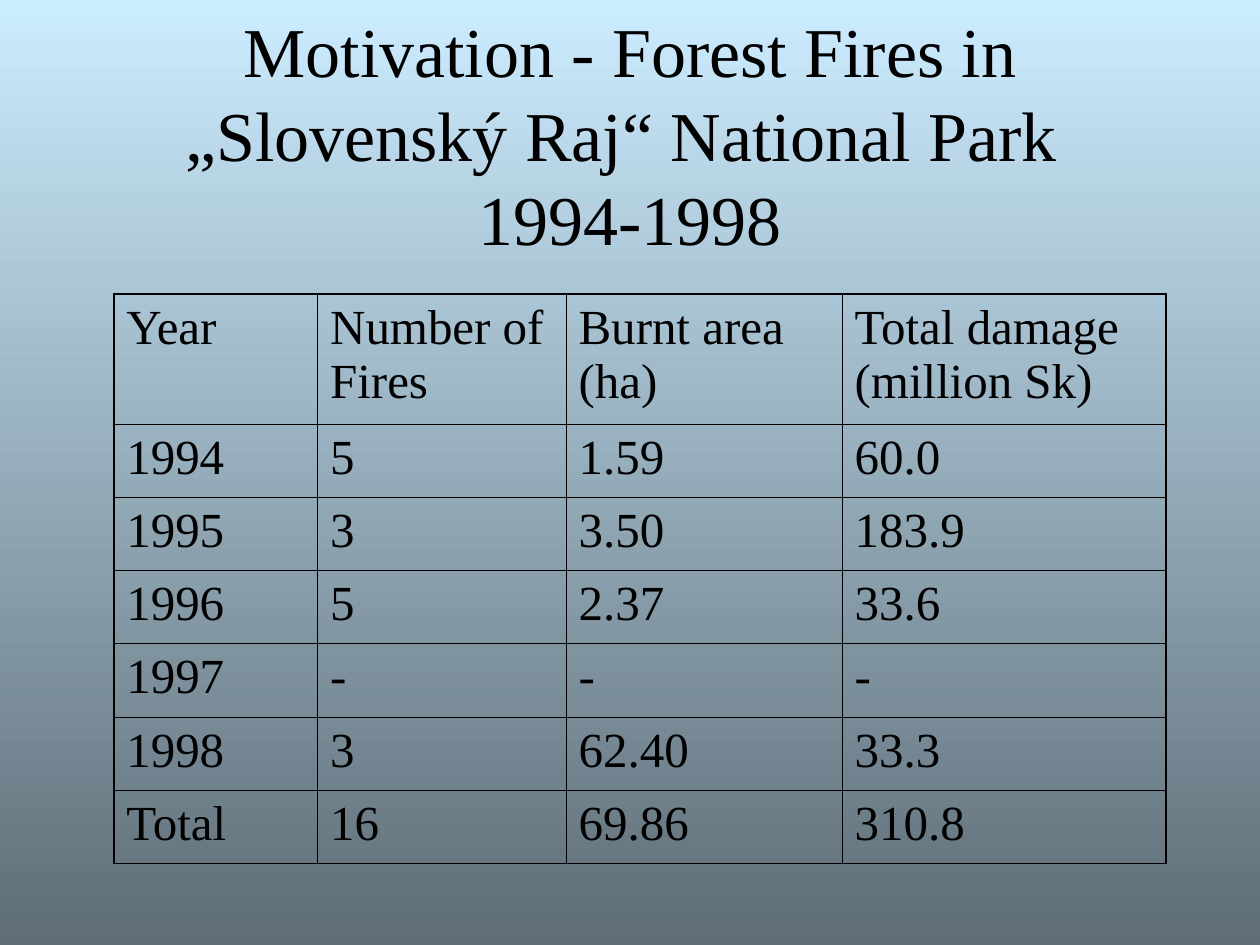
from lxml.etree import SubElement
from pptx import Presentation
from pptx.dml.color import RGBColor
from pptx.enum.text import MSO_ANCHOR as Anchor, MSO_AUTO_SIZE as Auto, PP_ALIGN as Align
from pptx.oxml.ns import qn
from pptx.util import Pt

FONT = "Times New Roman"
INK = "000000"
SKY = ("CCECFF", "5E6D76")
TITLE = ("Motivation - Forest Fires in „Slovenský Raj“ National Park ", "1994-1998")
ROWS = [
    ("Year", "Number of Fires", "Burnt area (ha)", "Total damage (million Sk)"),
    ("1994", "5", "1.59", "60.0"),
    ("1995", "3", "3.50", "183.9"),
    ("1996", "5", "2.37", "33.6"),
    ("1997", "-", "-", "-"),
    ("1998", "3", "62.40", "33.3"),
    ("Total", "16", "69.86", "310.8"),
]
WIDTHS = (116.5, 142, 157.75, 185)
HEAD, BODY = 74.4, 41.85
THIN, THICK = 0.45, 1.08


def color(text):
    return RGBColor.from_string(text)


def add_run(par, text, size):
    run = par.add_run()
    run.text = text
    run.font.name = FONT
    run.font.size = Pt(size)
    run.font.color.rgb = color(INK)


def add_edge(cell, side, width):
    """Draw one border of a cell; call before the cell's fill is set."""
    line = SubElement(cell._tc.get_or_add_tcPr(), qn(f"a:ln{side}"), w=str(Pt(width)))
    fill = SubElement(line, qn("a:solidFill"))
    SubElement(fill, qn("a:srgbClr"), val=INK)


deck = Presentation()
deck.slide_width, deck.slide_height = Pt(720), Pt(540)
slide = deck.slides.add_slide(deck.slide_layouts[5])

back = slide.background.fill
back.gradient()
back.gradient_angle = 270
for stop, tone, place in zip(back.gradient_stops, SKY, (0, 1)):
    stop.color.rgb = color(tone)
    stop.position = place

title = slide.shapes.title
title.left, title.top, title.width, title.height = Pt(54), Pt(31.5), Pt(612), Pt(90)
frame = title.text_frame
frame.word_wrap = True
frame.auto_size = Auto.NONE
frame.vertical_anchor = Anchor.MIDDLE
par = frame.paragraphs[0]
par.alignment = Align.CENTER
add_run(par, TITLE[0], 40)
par.add_line_break()
add_run(par, TITLE[1], 40)

last_row, last_col = len(ROWS) - 1, len(WIDTHS) - 1
table = slide.shapes.add_table(
    len(ROWS), len(WIDTHS), Pt(65), Pt(168), Pt(sum(WIDTHS)), Pt(HEAD + BODY * last_row)
).table
table.first_row = table.horz_banding = False
for col, width in zip(table.columns, WIDTHS):
    col.width = Pt(width)
for r, texts in enumerate(ROWS):
    table.rows[r].height = Pt(BODY if r else HEAD)
    for c, text in enumerate(texts):
        cell = table.cell(r, c)
        outer = {"L": c == 0, "R": c == last_col, "T": r == 0, "B": r == last_row}
        for side, edge in outer.items():
            add_edge(cell, side, THICK if edge else THIN)
        cell.fill.background()
        par = cell.text_frame.paragraphs[0]
        par.space_before = Pt(7)
        add_run(par, text, 28)

deck.save("out.pptx")
